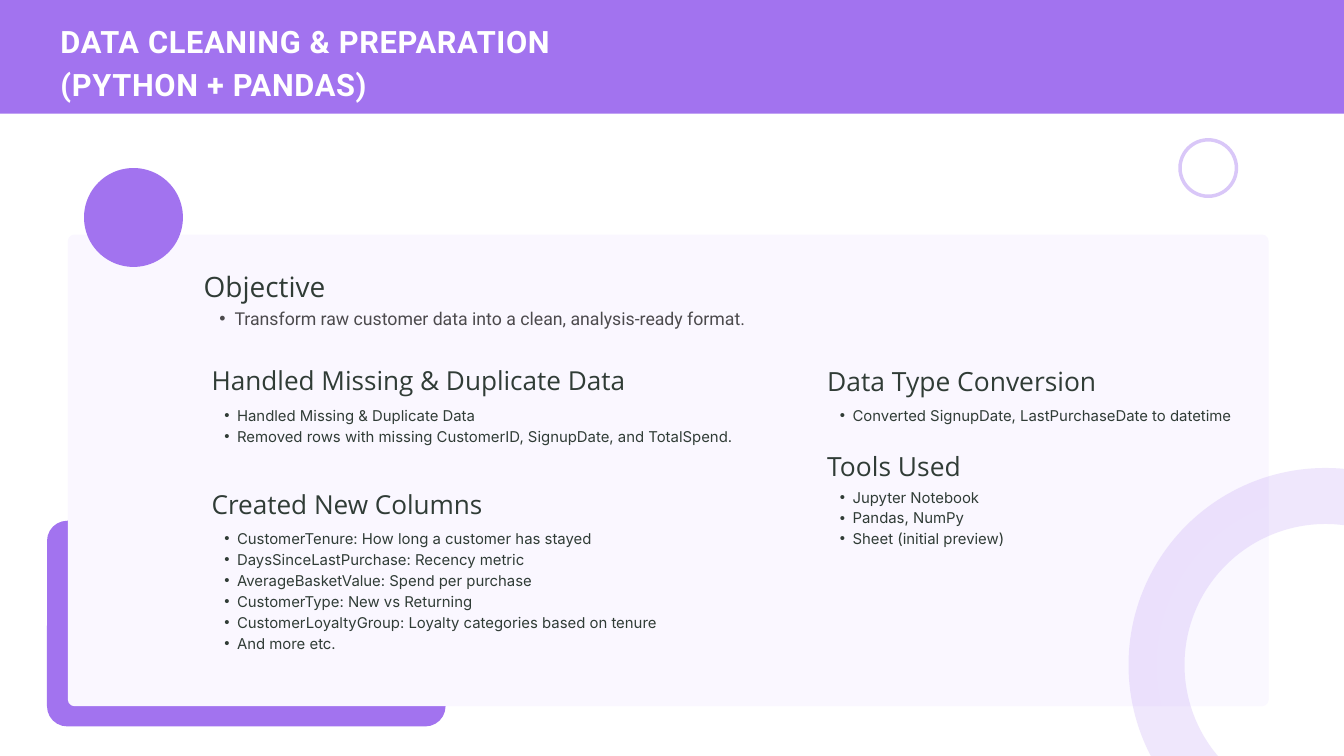
from lxml import etree
from pptx import Presentation
from pptx.dml.color import RGBColor
from pptx.enum.shapes import MSO_SHAPE
from pptx.enum.text import MSO_ANCHOR, MSO_AUTO_SIZE, PP_ALIGN
from pptx.oxml.ns import qn
from pptx.util import Pt

RECTANGLE = MSO_SHAPE.RECTANGLE
ROUNDED = MSO_SHAPE.ROUNDED_RECTANGLE
OVAL = MSO_SHAPE.OVAL
TOP = MSO_ANCHOR.TOP
NO_AUTOFIT = MSO_AUTO_SIZE.NONE
LEFT = PP_ALIGN.LEFT

PURPLE = RGBColor(0xA2, 0x73, 0xEF)
LAVENDER = RGBColor(0xFA, 0xF7, 0xFF)
WHITE = RGBColor(0xFF, 0xFF, 0xFF)
INK = RGBColor(0x30, 0x3C, 0x36)
GREY = RGBColor(0x4C, 0x4A, 0x4D)

COMPARISON_LAYOUT = 4
TITLE = "DATA CLEANING & PREPARATION (PYTHON + PANDAS)"
TITLE_BOX = (64.8, 17.3, 664.6, 90)

TITLE_STYLE = {"font": {"size": Pt(33), "name": "Roboto", "bold": True},
               "color": WHITE, "leading": 46.2, "tracking": 0.7}
OBJECTIVE_HEADING = {"font": {"size": Pt(30), "name": "Open Sans", "bold": False},
                     "color": INK, "leading": 46.5}
LEFT_HEADING = {"font": {"size": Pt(28), "name": "Open Sans", "bold": False},
                "color": INK, "leading": 43.4}
RIGHT_HEADING = {"font": {"size": Pt(28.3), "name": "Open Sans", "bold": False},
                 "color": INK, "leading": 43.9}
OBJECTIVE_LIST = {"font": {"size": Pt(19), "name": "Roboto", "bold": False},
                  "color": GREY, "leading": 26.6, "indent": 16.2}
DETAIL_LIST = {"font": {"size": Pt(16), "name": "Inter", "bold": False},
               "color": INK, "leading": 22.4, "indent": 13.6}

SECTIONS = [
    ("Objective", (218.2, 278.6, 171), OBJECTIVE_HEADING,
     ["Transform raw customer data into a clean, analysis-ready format."],
     (218.9, 326.2, 1021), OBJECTIVE_LIST),
    ("Handled Missing & Duplicate Data", (226.8, 380.9, 480), LEFT_HEADING,
     ["Handled Missing & Duplicate Data",
      "Removed rows with missing CustomerID, SignupDate, and TotalSpend."],
     (226.8, 432, 564), DETAIL_LIST),
    ("Created New Columns", (226.8, 513.4, 376), LEFT_HEADING,
     ["CustomerTenure: How long a customer has stayed",
      "DaysSinceLastPurchase: Recency metric",
      "AverageBasketValue: Spend per purchase",
      "CustomerType: New vs Returning",
      "CustomerLoyaltyGroup: Loyalty categories based on tenure",
      "And more etc."],
     (226.8, 564.5, 537), DETAIL_LIST),
    ("Data Type Conversion", (886.3, 381.6, 408), RIGHT_HEADING,
     ["Converted SignupDate, LastPurchaseDate to datetime"],
     (886.3, 432, 542), DETAIL_LIST),
    ("Tools Used", (886.3, 472.3, 408), RIGHT_HEADING,
     ["Jupyter Notebook", "Pandas, NumPy", "Sheet (initial preview)"],
     (886.3, 519.8, 542), DETAIL_LIST),
]

BACKDROP = [
    {"kind": ROUNDED, "box": (50.4, 558, 427, 220.3), "fill": PURPLE, "radius": 21.6},
    {"kind": ROUNDED, "box": (72.7, 251.3, 1286.6, 505.4), "fill": LAVENDER, "radius": 7.2},
    {"kind": RECTANGLE, "box": (0, 0, 1440, 121.7), "fill": PURPLE},
]
CIRCLES = [
    {"kind": OVAL, "box": (90, 180, 106, 106), "fill": PURPLE},
    {"kind": OVAL, "box": (1239.1, 531.4, 362, 362), "fill": WHITE, "line": 60, "opacity": 16},
    {"kind": OVAL, "box": (1264.3, 149.8, 60.5, 60.5), "fill": WHITE, "line": 3.75, "opacity": 40},
]


def draw_shape(slide, kind, box, fill, radius=None, line=None, opacity=None):
    shape = slide.shapes.add_shape(kind, *map(Pt, box))
    shape.shadow.inherit = False
    shape.fill.solid()
    shape.fill.fore_color.rgb = fill
    if radius:
        shape.adjustments[0] = radius / min(box[2:])
    if line:
        shape.line.color.rgb = PURPLE
        shape.line.width = Pt(line)
    else:
        shape.line.fill.background()
    if opacity:
        for color in shape.element.spPr.iter(qn("a:srgbClr")):
            etree.SubElement(color, qn("a:alpha")).set("val", str(opacity * 1000))


def write_text(shape, box, lines, style):
    for name, value in zip(("left", "top", "width", "height"), box):
        setattr(shape, name, Pt(value))
    frame = shape.text_frame
    frame_format = {"margin_left": 0, "margin_top": 0, "margin_right": 0,
                    "margin_bottom": 0, "word_wrap": True,
                    "auto_size": NO_AUTOFIT, "vertical_anchor": TOP}
    for name, value in frame_format.items():
        setattr(frame, name, value)
    for index, line in enumerate(lines):
        paragraph = frame.add_paragraph() if index else frame.paragraphs[0]
        if "indent" in style:
            properties = paragraph._p.get_or_add_pPr()
            properties.set("marL", str(Pt(2 * style["indent"])))
            properties.set("indent", str(-Pt(style["indent"])))
            etree.SubElement(properties, qn("a:buFont")).set("typeface", "Arial")
            etree.SubElement(properties, qn("a:buChar")).set("char", "•")
        paragraph_format = {"alignment": LEFT, "space_before": Pt(0),
                            "line_spacing": Pt(style["leading"])}
        for name, value in paragraph_format.items():
            setattr(paragraph, name, value)
        run = paragraph.add_run()
        run.text = line
        for name, value in style["font"].items():
            setattr(run.font, name, value)
        run.font.color.rgb = style["color"]
        if "tracking" in style:
            run.font._element.set("spc", str(round(style["tracking"] * 100)))


def bring_to_front(shape):
    shape.element.getparent().append(shape.element)


def main():
    presentation = Presentation()
    presentation.slide_width = Pt(1440)
    presentation.slide_height = Pt(810)
    slide = presentation.slides.add_slide(presentation.slide_layouts[COMPARISON_LAYOUT])
    bodies = [shape for shape in slide.placeholders
              if shape.placeholder_format.idx in (1, 2, 3, 4)]

    for item in BACKDROP:
        draw_shape(slide, **item)

    title = slide.shapes.title
    bring_to_front(title)
    write_text(title, TITLE_BOX, [TITLE], TITLE_STYLE)

    for heading, heading_box, heading_style, items, list_box, list_style in SECTIONS:
        heading_shape = slide.shapes.add_textbox(0, 0, 0, 0)
        write_text(heading_shape, (*heading_box, heading_style["leading"]),
                   [heading], heading_style)
        if bodies:
            list_shape = bodies.pop(0)
            bring_to_front(list_shape)
        else:
            list_shape = slide.shapes.add_textbox(0, 0, 0, 0)
        list_height = len(items) * list_style["leading"]
        write_text(list_shape, (*list_box, list_height), items, list_style)

    for item in CIRCLES:
        draw_shape(slide, **item)

    presentation.save("out.pptx")


if __name__ == "__main__":
    main()
